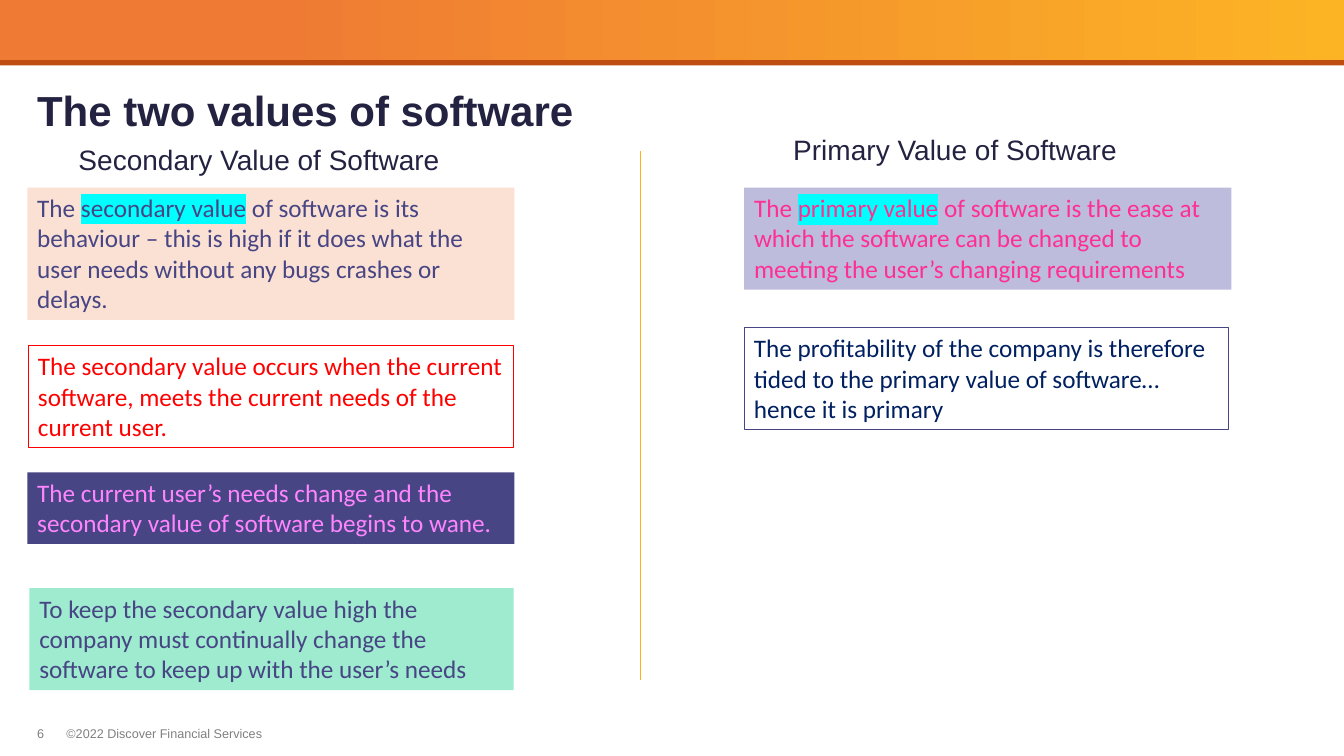
from lxml.etree import SubElement as Sub
from pptx import Presentation
from pptx.dml.color import RGBColor as Rgb
from pptx.enum.shapes import MSO_CONNECTOR as Conn, MSO_SHAPE as Shape
from pptx.enum.text import MSO_ANCHOR as Anchor, MSO_AUTO_SIZE as Auto, PP_ALIGN as Align
from pptx.oxml.ns import qn
from pptx.util import Pt

HUES = {
    "ink": "232241", "indigo": "474584", "red": "FF0000", "pink": "FF85FF",
    "rose": "FF2F92", "navy": "002060", "peach": "FBE1D4", "mint": "9EEBCF",
    "lilac": "BDBCDC", "cyan": "00FFFF", "grey": "808080", "rust": "BF4C11",
    "amber": "FCB424", "orange": "EF7A34", "gold": "FCB116",
}

LEFT = [
    ((19.5, 134, 348, 94.5), "indigo", "peach", None,
     ["The ", "secondary value", " of software is its behaviour – this is high if it does "
      "what the user needs without any bugs crashes or delays."]),
    ((20, 247, 347, 73), "red", None, "red",
     ["The secondary value occurs when the current software, meets the current needs "
      "of the current user."]),
    ((19.5, 337.5, 348, 51), "pink", "indigo", None,
     ["The current user’s needs change and the secondary value of software begins to wane."]),
    ((21, 420, 346, 73), "indigo", "mint", None,
     ["To keep the secondary value high the company must continually change the software "
      "to keep up with the user’s needs"]),
]
RIGHT = [
    ((531.5, 134, 348, 73), "rose", "lilac", None,
     ["The ", "primary value", " of software is the ease at which the software can be "
      "changed to meeting the user’s changing requirements"]),
    ((531.5, 234, 346, 73), "navy", None, "indigo",
     ["The profitability of the company is therefore tided to the primary value of "
      "software… hence it is primary"]),
]


def hue(name):
    return Rgb.from_string(HUES[name])


def style(run, size, color, face="Arial", bold=False):
    font = run.font
    font.size, font.name, font.bold = Pt(size), face, bold
    font.color.rgb = hue(color)


def mark(run):
    tint = run._r.get_or_add_rPr().find(qn("a:solidFill"))
    glow = Sub(tint.getparent(), qn("a:highlight"))
    Sub(glow, qn("a:srgbClr"), val=HUES["cyan"])
    tint.addnext(glow)


def label(slide, box, text, size, color, inset=True):
    frame = slide.shapes.add_textbox(*map(Pt, box)).text_frame
    frame.word_wrap = False
    frame.auto_size = Auto.SHAPE_TO_FIT_TEXT
    if not inset:
        frame.margin_left = frame.margin_right = 0
        frame.margin_top = frame.margin_bottom = 0
    frame.text = text
    style(frame.paragraphs[0].runs[0], size, color)
    return frame.paragraphs[0]


def card(slide, box, color, fill, edge, parts):
    shape = slide.shapes.add_textbox(*map(Pt, box))
    if fill:
        shape.fill.solid()
        shape.fill.fore_color.rgb = hue(fill)
    if edge:
        shape.line.color.rgb = hue(edge)
        shape.line.width = Pt(0.75)
    frame = shape.text_frame
    frame.word_wrap = True
    frame.auto_size = Auto.SHAPE_TO_FIT_TEXT
    para = frame.paragraphs[0]
    for i, part in enumerate(parts):
        run = para.add_run()
        run.text = part
        style(run, 18, color, "Calibri")
        if i == 1:
            mark(run)


def column(slide, box, head, cards):
    label(slide, box, head, 20, "ink").line_spacing = 0.9
    for item in cards:
        card(slide, *item)


def band(slide, width, height):
    base, top = (slide.shapes.add_shape(Shape.RECTANGLE, 0, 0, Pt(width), Pt(tall))
                 for tall in (height, height - 3.5))
    for bar in (base, top):
        bar.shadow.inherit = False
        bar.line.fill.background()
    base.fill.solid()
    base.fill.fore_color.rgb = hue("rust")
    top.fill.gradient()
    top.fill.gradient_angle = 180
    for stop, at, name in zip(top.fill.gradient_stops, (0, 0.8), ("amber", "orange")):
        stop.position = at
        stop.color.rgb = hue(name)


def title(slide, box, text):
    shape = slide.shapes.title
    shape.left, shape.top, shape.width, shape.height = map(Pt, box)
    frame = shape.text_frame
    frame.margin_left = frame.margin_right = frame.margin_bottom = 0
    frame.margin_top = Pt(7.2)
    frame.vertical_anchor = Anchor.MIDDLE
    frame.auto_size = Auto.NONE
    frame.word_wrap = True
    frame.text = text
    para = frame.paragraphs[0]
    para.alignment = Align.LEFT
    para.line_spacing = 0.85
    para.space_before = Pt(0)
    style(para.runs[0], 30, "ink", bold=True)


def rule(slide, x, top, end):
    line = slide.shapes.add_connector(Conn.STRAIGHT, Pt(x), Pt(top), Pt(x), Pt(end))
    line.line.color.rgb = hue("gold")
    line.line.width = Pt(0.5)
    Sub(line._element.spPr, qn("a:effectLst"))


def footer(slide, x, y):
    label(slide, (x, y, 10.5, 11), "6", 9, "grey", False)
    label(slide, (x + 21, y, 141, 11), "©2022 Discover Financial Services", 9, "grey", False)


def main():
    deck = Presentation()
    deck.slide_width, deck.slide_height = Pt(960), Pt(540)
    slide = deck.slides.add_slide(deck.slide_layouts[5])
    band(slide, 960, 46.7)
    footer(slide, 26.5, 518.5)
    title(slide, (26.5, 46.8, 907, 61), "The two values of software")
    column(slide, (49, 101, 274, 29), "Secondary Value of Software", LEFT)
    column(slide, (559.5, 93.5, 248, 29), "Primary Value of Software", RIGHT)
    rule(slide, 457.5, 108, 485.5)
    deck.save("out.pptx")


if __name__ == "__main__":
    main()
